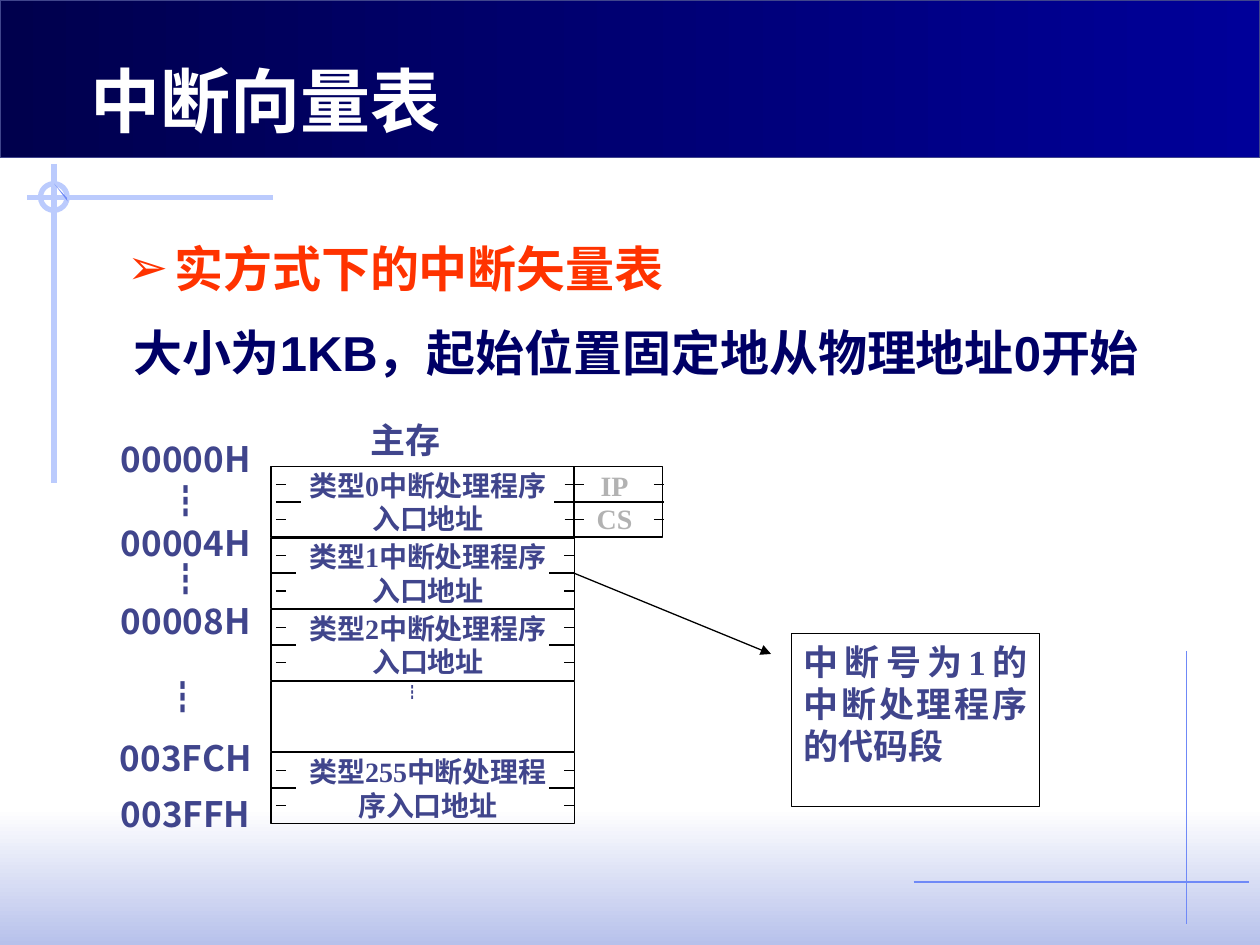
from lxml.etree import SubElement
from pptx import Presentation
from pptx.dml.color import RGBColor
from pptx.enum.shapes import MSO_CONNECTOR, MSO_SHAPE
from pptx.enum.text import MSO_ANCHOR, PP_ALIGN
from pptx.oxml.ns import qn
from pptx.util import Pt

SANS, SERIF = "Noto Sans CJK SC", "Times New Roman"
SLATE, BLACK, PALE, THIN = "40458C", "000000", "BBCBFD", "6F89F7"
LEFT, WIDE, HIGH = 154.8, 173.5, 40.3
RIGHT = LEFT + WIDE
TOP, PITCH = 266.6, 40.9
SIDE, EDGE = 327.6, 379.2
LABEL = dict(size=20, font=SANS, pad=(1.4, 1, 7, 1))


def paint(text):
    return RGBColor.from_string(text)


def set_all(thing, values):
    for name, value in values.items():
        setattr(thing, name, value)


def write(shape, lines, size, font, color=SLATE, bold=True, gap=0,
          align=PP_ALIGN.CENTER, pad=(7.2, 3.6, 7.2, 3.6), wrap=True,
          lead=1.2, hang=0, mark=None):
    """Fill a shape with paragraphs; pad is left, top, right, bottom."""
    frame = shape.text_frame
    sides = ("left", "top", "right", "bottom")
    set_all(frame, {f"margin_{s}": Pt(v) for s, v in zip(sides, pad)})
    set_all(frame, dict(word_wrap=wrap, vertical_anchor=MSO_ANCHOR.TOP))
    for i, line in enumerate(lines):
        para = frame.add_paragraph() if i else frame.paragraphs[0]
        set_all(para, dict(alignment=align, line_spacing=Pt(size * lead),
                           space_before=Pt(gap if i else 0)))
        props = para._p.get_or_add_pPr()
        if hang:
            props.set("marL", str(Pt(hang)))
            props.set("indent", str(-Pt(hang)))
        if mark:
            tint = SubElement(props, qn("a:buClr"))
            SubElement(tint, qn("a:srgbClr"), val=color)
            SubElement(props, qn("a:buFont"), typeface="Arial")
            SubElement(props, qn("a:buChar"), char=mark)
        else:
            SubElement(props, qn("a:buNone"))
        run = para.add_run()
        run.text = line
        set_all(run.font, dict(size=Pt(size), bold=bold, name=font))
        run.font.color.rgb = paint(color)
        east = font if font.startswith("Noto") else SANS
        SubElement(run._r.get_or_add_rPr(), qn("a:ea"), typeface=east)


def add_text(slide, box, lines, **style):
    write(slide.shapes.add_textbox(*map(Pt, box)), lines, **style)


def add_box(slide, box, fill=None, edge=BLACK, weight=0.75, kind=MSO_SHAPE.RECTANGLE):
    shape = slide.shapes.add_shape(kind, *map(Pt, box))
    return dress(shape, fill, edge, weight)


def dress(shape, fill, edge, weight=0.75):
    """Set fill and line; a pair of colours makes a gradient."""
    shape.shadow.inherit = False
    if isinstance(fill, tuple):
        shape.fill.gradient()
        for stop, color in zip(shape.fill.gradient_stops, fill):
            stop.color.rgb = paint(color)
    elif fill:
        shape.fill.solid()
        shape.fill.fore_color.rgb = paint(fill)
    else:
        shape.fill.background()
    if edge:
        shape.line.color.rgb = paint(edge)
        shape.line.width = Pt(weight)
    else:
        shape.line.fill.background()
    return shape


def add_line(slide, ends, color=BLACK, weight=0.75):
    line = slide.shapes.add_connector(MSO_CONNECTOR.STRAIGHT, *map(Pt, ends))
    line.line.color.rgb = paint(color)
    line.line.width = Pt(weight)
    SubElement(line._element.spPr, qn("a:effectLst"))
    return line


def add_frame(slide):
    """Draw the title band, the lower glow and the corner lines."""
    glow = add_box(slide, (0, 462, 720, 78), ("FFFFFF", "B7C1EB"), None)
    glow.fill.gradient_angle = 270
    band = add_box(slide, (0, 0, 720, 90), ("00004D", "000099"), SLATE)
    band.fill.gradient_angle = 0
    add_line(slide, (678, 372, 678, 528), THIN)
    add_line(slide, (522, 504, 714, 504), THIN)
    add_line(slide, (156, 113, 15.6, 113), PALE, 3)
    add_line(slide, (30.8, 93.6, 30.8, 276), PALE, 3)
    add_box(slide, (23.2, 105, 15.2, 15.2), None, PALE, 3, MSO_SHAPE.OVAL)
    pen = slide.shapes.build_freeform(Pt(31), Pt(105), scale=1.0)
    pen.add_line_segments([(Pt(38.2), Pt(113)), (Pt(38.6), Pt(115))])
    dress(pen.convert_to_shape(), THIN, None)


def add_ticks(slide, top, first=False):
    """Mark the middle and the quarters of a row at both sides."""
    start = LEFT + 2.9 if first else LEFT
    middle = top + HIGH / 2
    reach = (316.8, EDGE) if first else (RIGHT - 14.4, RIGHT)
    for x, end in ((start, start + 14.4), reach):
        add_line(slide, (x, middle, end, middle), weight=1)
    spans = [(LEFT + 2.9, LEFT + 8.7), (RIGHT - 5.8, RIGHT)]
    if first:
        spans[1] = (322.6, 334)
        spans.append((373.7, EDGE))
    for part in (0.25, 0.75):
        y = top + HIGH * part
        for x, end in spans:
            add_line(slide, (x, y, end, y))


def add_rows(slide):
    rows = []
    for i, number in enumerate((0, 1, 2, None, 255)):
        top = TOP + i * PITCH
        row = add_box(slide, (LEFT, top, WIDE, HIGH))
        if number is None:
            write(row, ["┇"], size=9, font=SANS, bold=False, pad=(4, 1, 16, 1))
        else:
            write(row, [f"类型{number}中断处理程序入口地址"], size=16, font=SERIF,
                  pad=(14, 1, 8, 1))
            add_ticks(slide, top, first=i == 0)
        rows.append(row)
    pair = add_box(slide, (SIDE, TOP, 51.1, HIGH))
    write(pair, ["IP", "CS"], size=16, font=SERIF, color="B2B2B2", pad=(4, 1, 8, 1))
    return rows


def add_labels(slide):
    for box, lines in (
        ((66, 249, 86, 66), ["00000H", "┇", "00004H"]),
        ((66, 317.5, 86, 40), ["┇", "00008H"]),
        ((83.5, 385, 48, 34), ["┇"]),
        ((66, 420, 86, 52), ["003FCH", "003FFH"]),
        ((191.5, 238, 86, 22), ["主存"]),
    ):
        gap = 7.8 if lines[0] == "003FCH" else 0
        add_text(slide, box, lines, gap=gap, **LABEL)


def add_note(slide, row):
    note = add_box(slide, (452.2, 362.2, 141.8, 98.6), "FFFFFF")
    write(note, ["中断号为1的中断处理程序的代码段"], size=20, font=SERIF,
          align=PP_ALIGN.JUSTIFY)
    arrow = add_line(slide, (RIGHT, 328, 440.6, 373.7))
    arrow.begin_connect(row, 3)
    SubElement(arrow.line._get_or_add_ln(), qn("a:tailEnd"), type="triangle")


def add_title(slide):
    title = slide.shapes.title
    set_all(title, dict(left=Pt(44.6), top=Pt(29), width=Pt(400), height=Pt(56)))
    write(title, ["中断向量表"], size=40, font="Noto Sans CJK JP", color="FFFFFF",
          align=PP_ALIGN.LEFT)
    slide.shapes._spTree.append(title._element)


def main():
    deck = Presentation()
    set_all(deck, dict(slide_width=Pt(720), slide_height=Pt(540)))
    slide = deck.slides.add_slide(deck.slide_layouts[5])
    add_frame(slide)
    rows = add_rows(slide)
    add_labels(slide)
    add_note(slide, rows[1])
    body = dict(size=28, font="Arial", align=PP_ALIGN.LEFT, hang=27)
    add_text(slide, (69, 181, 606, 75),
             ["大小为1KB，起始位置固定地从物理地址0开始"], color="000066", **body)
    add_text(slide, (65.5, 126, 323, 47.5), ["实方式下的中断矢量表"],
             color="FF3300", wrap=False, lead=1.44, mark="➢", **body)
    add_title(slide)
    deck.save("out.pptx")


if __name__ == "__main__":
    main()
